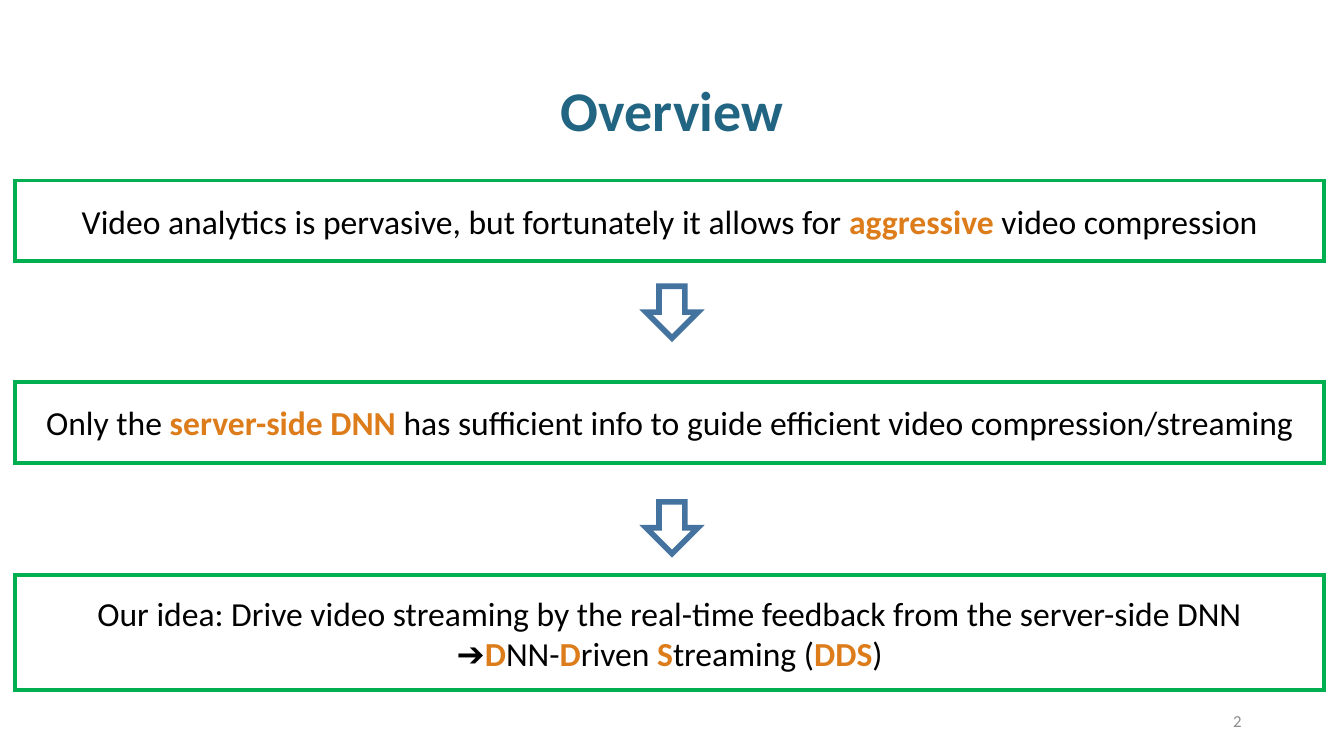
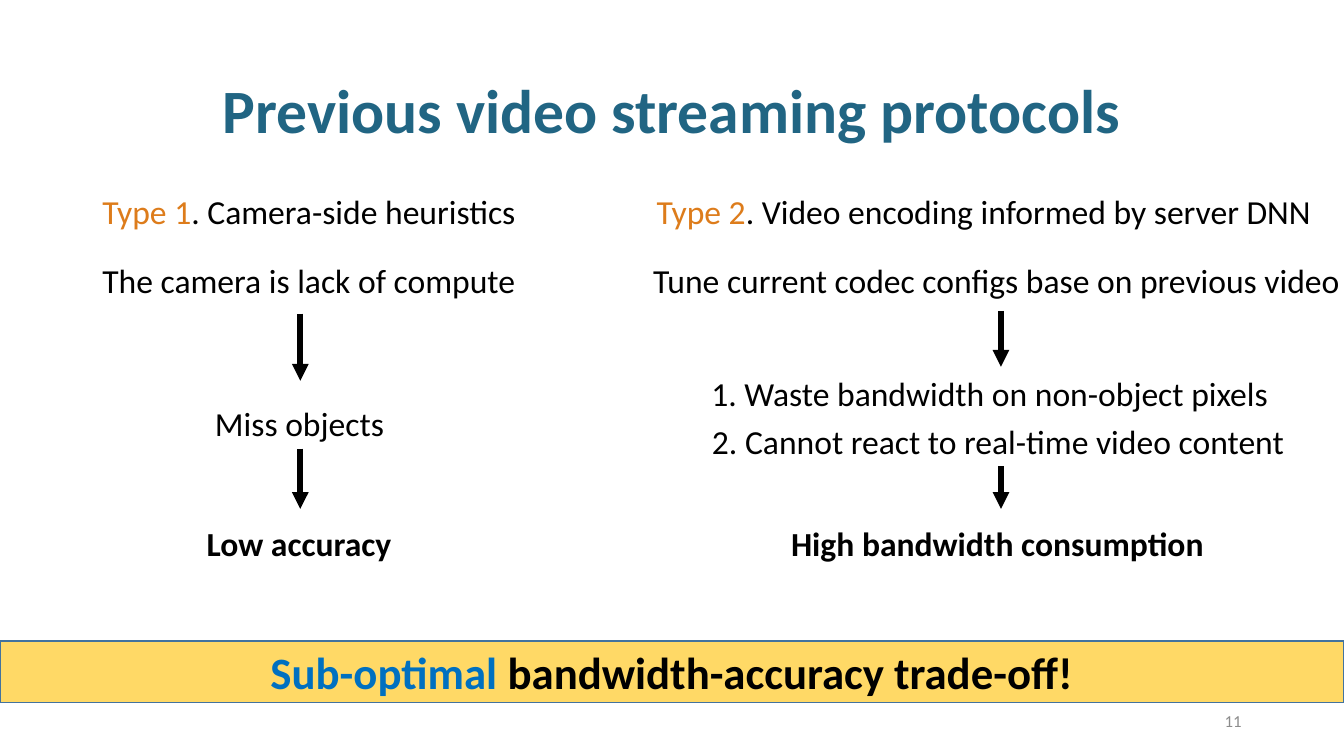
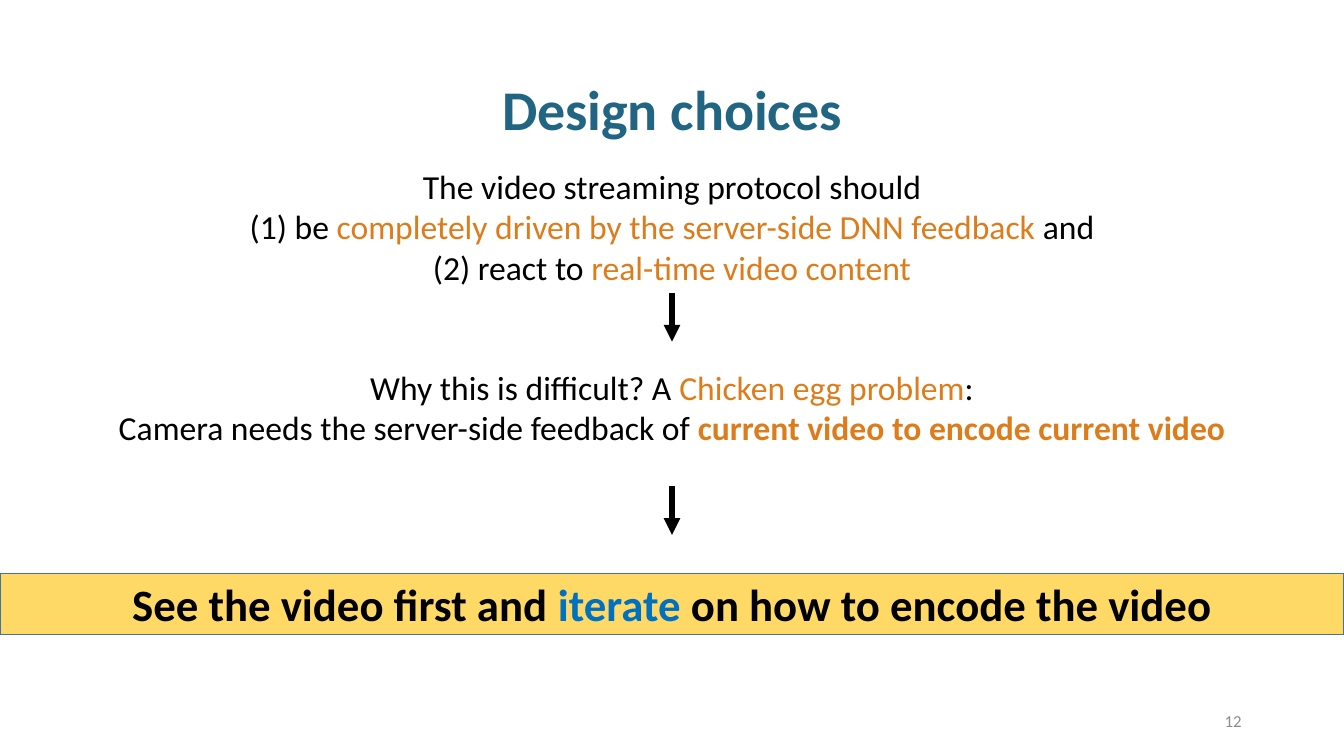
from dataclasses import dataclass
from typing import NamedTuple

from lxml import etree
from pptx import Presentation
from pptx.dml.color import RGBColor
from pptx.enum.shapes import MSO_CONNECTOR, MSO_SHAPE
from pptx.enum.text import MSO_ANCHOR, MSO_AUTO_SIZE, PP_ALIGN
from pptx.oxml.ns import qn
from pptx.shapes.autoshape import Shape
from pptx.slide import Slide
from pptx.text.text import TextFrame
from pptx.util import Pt

LEFT, CENTER, RIGHT = PP_ALIGN.LEFT, PP_ALIGN.CENTER, PP_ALIGN.RIGHT
TOP, MIDDLE = MSO_ANCHOR.TOP, MSO_ANCHOR.MIDDLE
NO_AUTO_SIZE = MSO_AUTO_SIZE.NONE
RECTANGLE, DOWN_ARROW = MSO_SHAPE.RECTANGLE, MSO_SHAPE.DOWN_ARROW
STRAIGHT = MSO_CONNECTOR.STRAIGHT
BOTTOM_SITE = 2

BLACK = RGBColor(0x00, 0x00, 0x00)
WHITE = RGBColor(0xFF, 0xFF, 0xFF)
GREY = RGBColor(0x8C, 0x8C, 0x8C)
TEAL = RGBColor(0x21, 0x65, 0x83)
ORANGE = RGBColor(0xDD, 0x7C, 0x1B)
GREEN = RGBColor(0x00, 0xB0, 0x50)
STEEL = RGBColor(0x43, 0x73, 0x9E)
YELLOW = RGBColor(0xFF, 0xD9, 0x66)
BLUE = RGBColor(0x00, 0x70, 0xC0)

FONT = "Calibri"
SLIDE_WIDTH, SLIDE_HEIGHT = 960, 540
TITLE_ONLY_LAYOUT = 5
BODY_SIZE, BAND_SIZE, NUMBER_SIZE = 24, 32, 12
LINE_HEIGHT = 36


class Area(NamedTuple):
    left: float
    top: float
    width: float
    height: float


class Run(NamedTuple):
    text: str
    color: RGBColor = BLACK
    bold: bool = False


Paragraphs = list[list[Run]]


@dataclass
class Statement:
    """A green framed box on the overview slide."""
    top: float
    height: float
    paragraphs: Paragraphs


@dataclass
class Label:
    """A single line of text that does not wrap."""
    left: float
    top: float
    width: float
    runs: list[Run]


@dataclass
class DownLine:
    x: float
    start: float
    end: float
    source: Shape | None = None


TITLE_AREA = Area(66, 28.75, 828, 104.5)
WIDE_TITLE_AREA = Area(-3, 28, 966, 104.5)
NUMBER_AREA = Area(678, 500.5, 216, 28.75)


def strong(text: str) -> Run:
    return Run(text, ORANGE, True)


def accent(text: str) -> Run:
    return Run(text, ORANGE)


def place(shape: Shape, area: Area) -> None:
    shape.left, shape.top, shape.width, shape.height = map(Pt, area)


def write(frame: TextFrame, paragraphs: Paragraphs, size: float, align: PP_ALIGN,
          anchor: MSO_ANCHOR, wrap: bool = True, spacing: float = 1.0) -> None:
    frame.word_wrap = wrap
    frame.auto_size = NO_AUTO_SIZE
    frame.vertical_anchor = anchor
    for index, runs in enumerate(paragraphs):
        paragraph = frame.add_paragraph() if index else frame.paragraphs[0]
        paragraph.alignment = align
        paragraph.line_spacing = spacing
        for text, color, bold in runs:
            run = paragraph.add_run()
            run.text = text
            run.font.name = FONT
            run.font.size = Pt(size)
            run.font.bold = bold
            run.font.color.rgb = color


def add_text(slide: Slide, area: Area, paragraphs: Paragraphs, size: float = BODY_SIZE,
             align: PP_ALIGN = LEFT, anchor: MSO_ANCHOR = TOP, wrap: bool = True) -> Shape:
    box = slide.shapes.add_textbox(*map(Pt, area))
    write(box.text_frame, paragraphs, size, align, anchor, wrap)
    return box


def add_outlined(slide: Slide, kind: MSO_SHAPE, area: Area, fill: RGBColor | None,
                 outline: RGBColor, weight: float) -> Shape:
    """Draw a preset shape with a sharp-cornered outline and no shadow."""
    shape = slide.shapes.add_shape(kind, *map(Pt, area))
    shape.shadow.inherit = False
    if fill is None:
        shape.fill.background()
    else:
        shape.fill.solid()
        shape.fill.fore_color.rgb = fill
    shape.line.color.rgb = outline
    shape.line.width = Pt(weight)
    line = shape.element.spPr.find(qn("a:ln"))
    etree.SubElement(line, qn("a:miter"), lim="800000")
    return shape


def add_down_line(slide: Slide, line: DownLine) -> None:
    connector = slide.shapes.add_connector(
        STRAIGHT, Pt(line.x), Pt(line.start), Pt(line.x), Pt(line.end))
    if line.source is not None:
        connector.begin_connect(line.source, BOTTOM_SITE)
    connector.line.color.rgb = BLACK
    connector.line.width = Pt(4)
    properties = connector.element.spPr
    etree.SubElement(properties.find(qn("a:ln")), qn("a:tailEnd"), type="triangle")
    etree.SubElement(properties, qn("a:effectLst"))


def add_band(slide: Slide, top: float, runs: list[Run]) -> None:
    """Draw the full-width yellow conclusion."""
    band = add_outlined(slide, RECTANGLE, Area(0, top, SLIDE_WIDTH, 44), YELLOW, STEEL, 1)
    write(band.text_frame, [runs], BAND_SIZE, CENTER, MIDDLE)


def start_slide(presentation: Presentation, title: str, number: int, size: float = 40,
                area: Area = TITLE_AREA) -> Slide:
    """Add a slide with its title and page number."""
    slide = presentation.slides.add_slide(presentation.slide_layouts[TITLE_ONLY_LAYOUT])
    place(slide.shapes.title, area)
    write(slide.shapes.title.text_frame, [[Run(title, TEAL, True)]], size, CENTER, MIDDLE,
          spacing=0.9)
    add_text(slide, NUMBER_AREA, [[Run(str(number), GREY)]], NUMBER_SIZE, RIGHT, MIDDLE)
    return slide


def build_overview(presentation: Presentation) -> None:
    slide = start_slide(presentation, "Overview", 2)
    statements = [
        Statement(129, 57.5, [[
            Run("Video analytics is pervasive, but fortunately it allows for "),
            strong("aggressive"), Run(" video compression")]]),
        Statement(273, 57.5, [[
            Run("Only the "), strong("server-side DNN "),
            Run("has sufficient info to guide efficient video compression/streaming")]]),
        Statement(411, 82, [
            [Run("Our idea: Drive video streaming by the real-time feedback "
                 "from the server-side DNN")],
            [Run("➔"), strong("D"), Run("NN-"), strong("D"), Run("riven "), strong("S"),
             Run("treaming ("), strong("DDS"), Run(")")]]),
    ]
    for statement in statements:
        box = add_outlined(slide, RECTANGLE, Area(10.8, statement.top, 935, statement.height),
                           WHITE, GREEN, 2.75)
        write(box.text_frame, statement.paragraphs, BODY_SIZE, CENTER, MIDDLE)
    for top in (204.5, 358.5):
        add_outlined(slide, DOWN_ARROW, Area(461.5, top, 37, 37), None, STEEL, 4)


def build_protocols(presentation: Presentation) -> None:
    slide = start_slide(presentation, "Previous video streaming protocols", 11, 44)
    heading_top, cause_top, result_top = 133, 182, 370
    labels = [
        Label(66, heading_top, 312.5, [accent("Type 1"), Run(". Camera-side heuristics")]),
        Label(462, heading_top, 495,
              [accent("Type 2"), Run(". Video encoding informed by server DNN")]),
        Label(66, cause_top, 312.5, [Run("The camera is lack of compute")]),
        Label(459.5, cause_top, 510, [Run("Tune current codec configs base on previous video")]),
        Label(501, 262.5, 416, [Run("1. Waste bandwidth on non-object pixels")]),
        Label(140.5, result_top, 148, [Run("Low accuracy", bold=True)]),
        Label(558, result_top, 312.5, [Run("High bandwidth consumption", bold=True)]),
    ]
    problems = [
        Label(146.5, 284.5, 136, [Run("Miss objects")]),
        Label(501.5, 297, 427, [Run("2. Cannot react to real-time video content")]),
    ]
    boxes = [
        add_text(slide, Area(label.left, label.top, label.width, LINE_HEIGHT), [label.runs],
                 wrap=False)
        for label in labels + problems
    ]
    missed, slow = boxes[-len(problems):]
    for line in (
        DownLine(214.5, 224, 272),
        DownLine(214.5, 320.5, 363.5, missed),
        DownLine(715, 222, 262),
        DownLine(715, 333, 363.5, slow),
    ):
        add_down_line(slide, line)
    add_band(slide, 458, [Run("Sub-optimal", BLUE, True),
                          Run(" bandwidth-accuracy trade-off!", bold=True)])


def build_design(presentation: Presentation) -> None:
    slide = start_slide(presentation, "Design choices", 12, area=WIDE_TITLE_AREA)
    goals = add_text(slide, Area(-6.5, 115, 973, 94.5), [
        [Run("The video streaming protocol should")],
        [Run("(1) be"), accent(" completely driven by the server-side DNN feedback "),
         Run("and")],
        [Run("(2) react to "), accent("real-time video content")],
    ], align=CENTER)
    add_text(slide, Area(69, 258.5, 822, 65.5), [
        [Run("Why this is difficult? A "), accent("Chicken egg problem"), Run(":")],
        [Run("Camera needs the server-side feedback of "),
         strong("current video to encode current video")],
    ], align=CENTER)
    middle = SLIDE_WIDTH / 2
    add_down_line(slide, DownLine(middle, 209.5, 244, goals))
    add_down_line(slide, DownLine(middle, 347, 382))
    add_band(slide, 409.5, [Run("See the video first and ", bold=True),
                            Run("iterate", BLUE, True),
                            Run(" on how to encode the video", bold=True)])


def main() -> None:
    presentation = Presentation()
    presentation.slide_width = Pt(SLIDE_WIDTH)
    presentation.slide_height = Pt(SLIDE_HEIGHT)
    build_overview(presentation)
    build_protocols(presentation)
    build_design(presentation)
    presentation.save("out.pptx")


if __name__ == "__main__":
    main()
